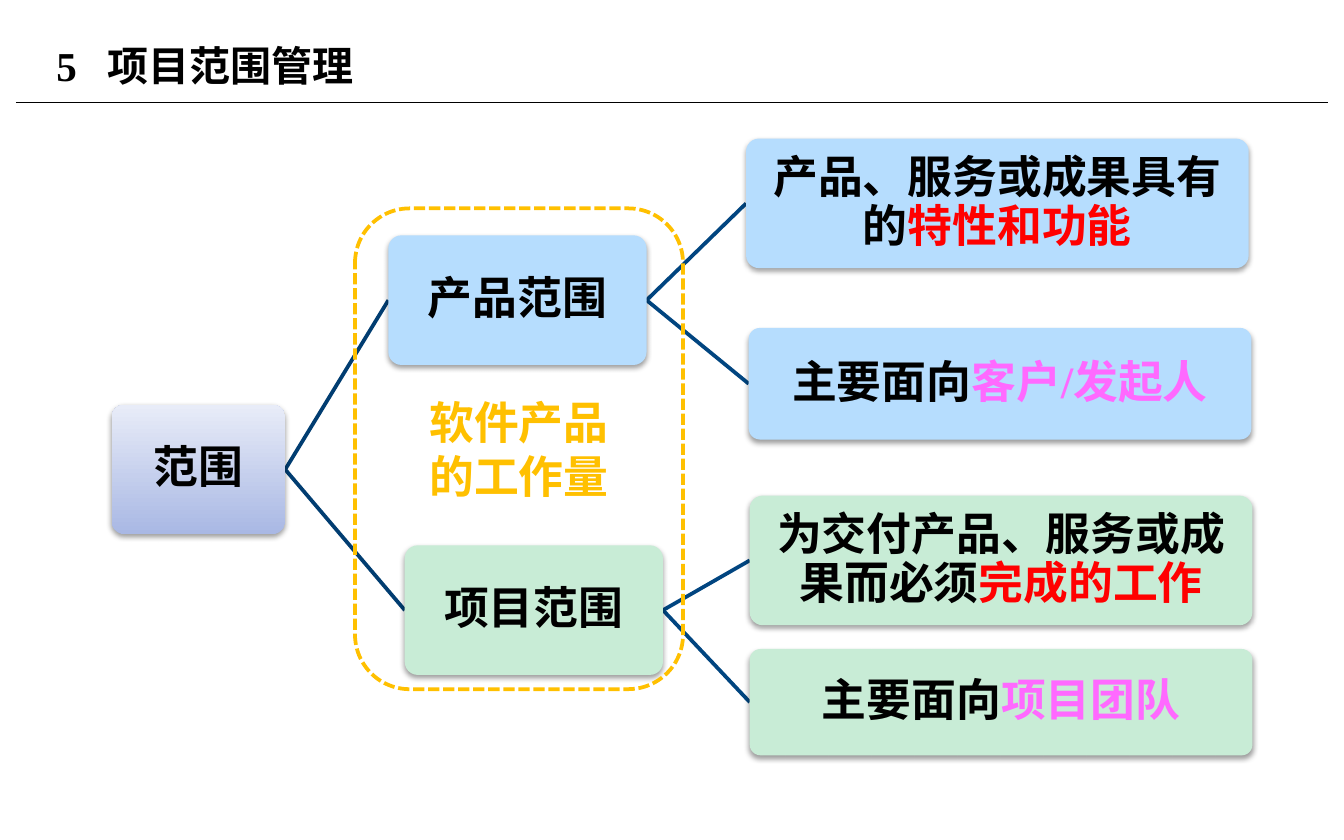
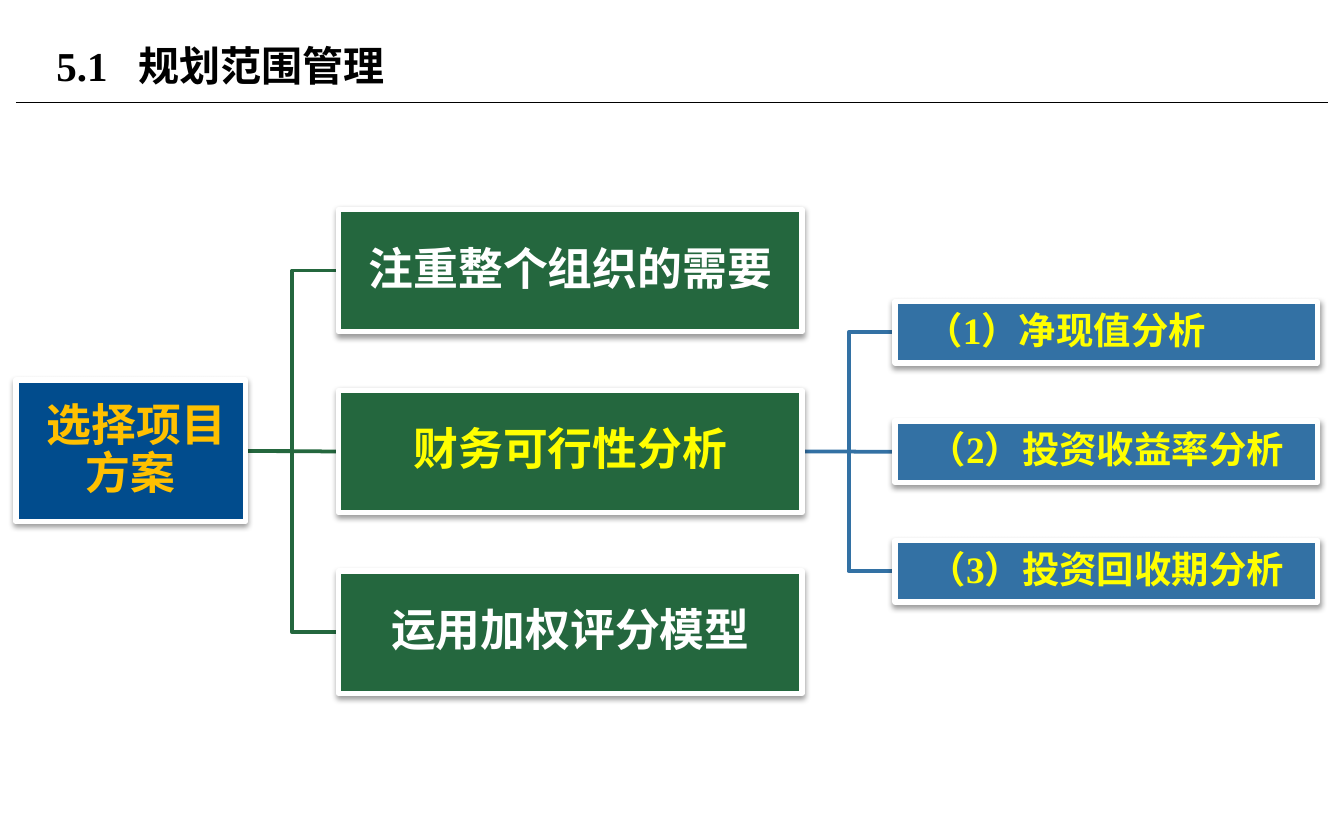
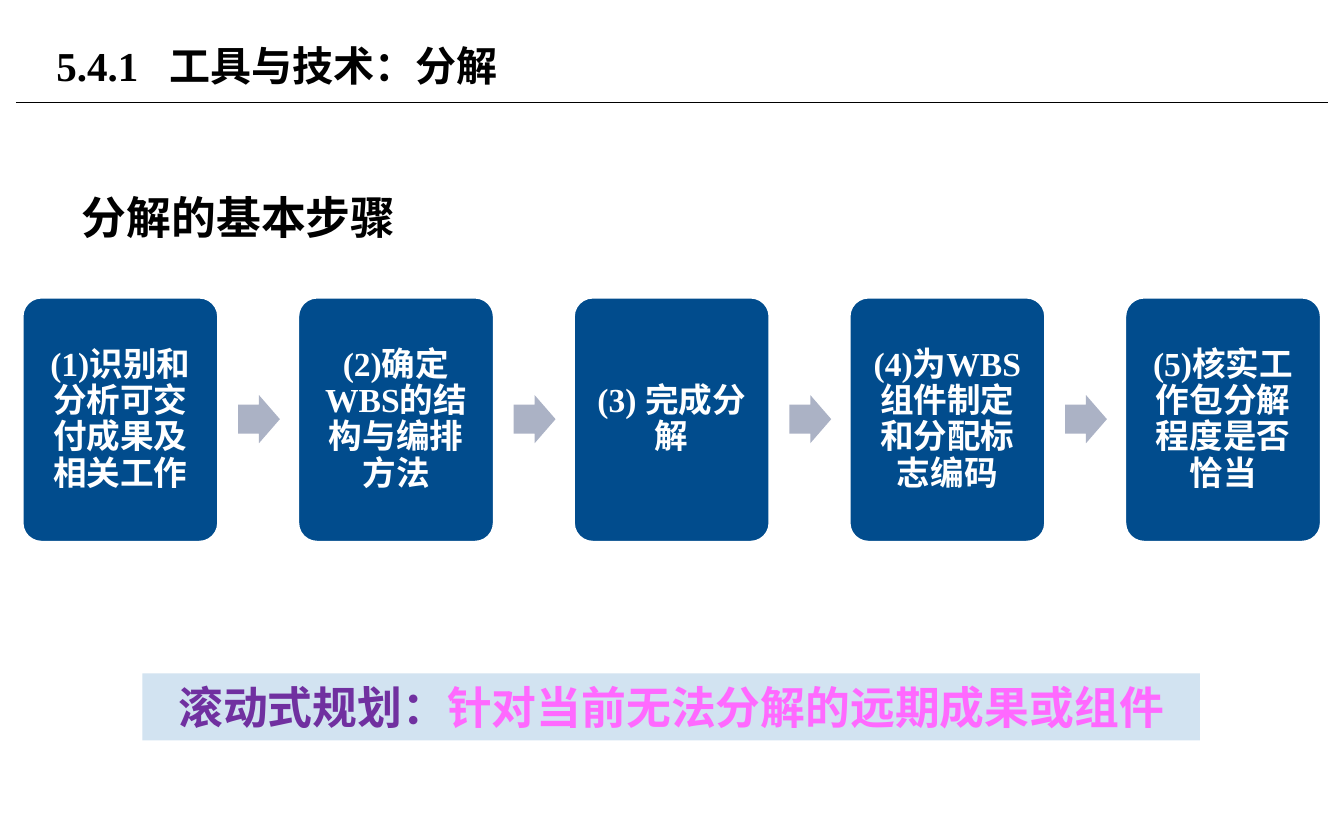
from lxml import etree
from pptx import Presentation
from pptx.dml.color import RGBColor
from pptx.enum import dml, shapes, text
from pptx.oxml import parse_xml
from pptx.oxml.ns import nsdecls, qn
from pptx.util import Cm, Pt

FONT = "Times New Roman"
BLACK = RGBColor(0x00, 0x00, 0x00)
WHITE = RGBColor(0xFF, 0xFF, 0xFF)
RED = RGBColor(0xFF, 0x00, 0x00)
PINK = RGBColor(0xFF, 0x69, 0xFF)
ORANGE = RGBColor(0xFF, 0xC0, 0x00)
YELLOW = RGBColor(0xFF, 0xFF, 0x00)
PURPLE = RGBColor(0x70, 0x30, 0xA0)
NAVY = RGBColor(0x01, 0x4C, 0x8D)
LINK_DARK = RGBColor(0x01, 0x3D, 0x71)
LINK_NAVY = RGBColor(0x01, 0x45, 0x80)
SKY = RGBColor(0xB6, 0xDD, 0xFE)
MINT = RGBColor(0xC8, 0xEC, 0xD6)
LILAC_DARK = RGBColor(0xA9, 0xB8, 0xE4)
LILAC_LIGHT = RGBColor(0xE8, 0xEC, 0xF8)
GREEN = RGBColor(0x24, 0x67, 0x3E)
BLUE = RGBColor(0x33, 0x71, 0xA4)
ARROW_GREY = RGBColor(0xAB, 0xB2, 0xC5)
PALE_BLUE = RGBColor(0xD2, 0xE3, 0xF1)

RECT = shapes.MSO_SHAPE.RECTANGLE
ROUND = shapes.MSO_SHAPE.ROUNDED_RECTANGLE
ARROW = shapes.MSO_SHAPE.RIGHT_ARROW
STRAIGHT = shapes.MSO_CONNECTOR.STRAIGHT
ELBOW = shapes.MSO_CONNECTOR.ELBOW
LEFT, CENTER = text.PP_ALIGN.LEFT, text.PP_ALIGN.CENTER
MIDDLE = text.MSO_ANCHOR.MIDDLE

SHADOW = (f'<a:effectLst {nsdecls("a")}><a:outerShdw blurRad="39370" dist="20320" dir="5400000" '
          'rotWithShape="0"><a:srgbClr val="000000"><a:alpha val="38000"/></a:srgbClr>'
          '</a:outerShdw></a:effectLst>')


def write(p, *runs, size=24, align=CENTER, spacing=None, indent=0):
    """Fill a paragraph with (text, colour) runs."""
    p.alignment = align
    if spacing:
        p.line_spacing = spacing
    if indent:
        p._p.get_or_add_pPr().set("indent", str(Cm(indent)))
    for words, color in runs:
        r = p.add_run()
        r.text = words
        r.font.name, r.font.size, r.font.bold = FONT, Pt(size), True
        r.font.color.rgb = color


def box(s, kind, x, y, w, h, fill=None, line=None, width=2, adj=(), shadow=False, margin=0.12):
    """Add a preset shape with its outline, shadow and text margins."""
    sp = s.shapes.add_shape(kind, Cm(x), Cm(y), Cm(w), Cm(h))
    for i, value in enumerate(adj):
        sp.adjustments[i] = value
    if fill is None:
        sp.fill.background()
    else:
        sp.fill.solid()
        sp.fill.fore_color.rgb = fill
    if line is None:
        sp.line.fill.background()
    else:
        sp.line.color.rgb = line
        sp.line.width = Pt(width)
    sp.shadow.inherit = False
    if shadow:
        pr = sp._element.spPr
        pr.replace(pr.find(qn("a:effectLst")), parse_xml(SHADOW))
    tf = sp.text_frame
    tf.word_wrap, tf.vertical_anchor = True, MIDDLE
    tf.margin_left = tf.margin_right = tf.margin_top = tf.margin_bottom = Cm(margin)
    return sp


prs = Presentation()
prs.slide_width, prs.slide_height = Cm(25.4), Cm(15.88)

# Slides with their title and the rule below it
titles = [("5", "项目范围管理"), ("5.1", "规划范围管理"), ("5.4.1", "工具与技术：分解")]
slides = []
for i, (number, name) in enumerate(titles):
    s = prs.slides.add_slide(prs.slide_layouts[5])
    sp = s.shapes.title
    sp.left, sp.top, sp.width, sp.height = Cm(0.81), Cm(0.33), Cm(16.2), Cm(1.8)
    tf = sp.text_frame
    tf.vertical_anchor, tf.auto_size = MIDDLE, text.MSO_AUTO_SIZE.NONE
    p = tf.paragraphs[0]
    tabs = etree.SubElement(p._p.get_or_add_pPr(), qn("a:tabLst"))
    etree.SubElement(tabs, qn("a:tab"), pos=str(Cm(0.96 + 0.59 * i)), algn="l")
    write(p, (f"{number}\t{name}", BLACK), size=22, align=LEFT)
    rule = s.shapes.add_connector(STRAIGHT, Cm(0.3), Cm(1.94), Cm(25.1), Cm(1.94))
    rule.line.color.rgb, rule.line.width = BLACK, Pt(0.75)
    etree.SubElement(rule._element.spPr, qn("a:effectLst"))
    slides.append(s)
scope, planning, steps = slides
links = []  # slide, parent, child, connector kind, colour

# Scope tree: parent, left, top, width, height, fill, runs
nodes = [
    (None, 2.11, 7.65, 3.28, 2.45, LILAC_DARK, [("范围", BLACK)]),
    (0, 7.34, 4.45, 4.88, 2.45, SKY, [("产品范围", BLACK)]),
    (0, 7.65, 10.31, 4.88, 2.45, MINT, [("项目范围", BLACK)]),
    (1, 14.1, 2.62, 9.5, 2.45, SKY, [("产品、服务或成果具有的", BLACK), ("特性和功能", RED)]),
    (1, 14.15, 6.2, 9.5, 2.11, SKY, [("主要面向", BLACK), ("客户/发起人", PINK)]),
    (2, 14.17, 9.37, 9.5, 2.45, MINT, [("为交付产品、服务或成果而必须", BLACK), ("完成的工作", RED)]),
    (2, 14.17, 12.27, 9.5, 2.01, MINT, [("主要面向", BLACK), ("项目团队", PINK)]),
]
tree = []
for parent, x, y, w, h, fill, runs in nodes:
    sp = box(scope, ROUND, x, y, w, h, fill, adj=[0.1], shadow=True)
    write(sp.text_frame.paragraphs[0], *runs, spacing=0.9)
    tree.append(sp)
    if parent is not None:
        links.append((scope, tree[parent], sp, STRAIGHT, LINK_NAVY if parent else LINK_DARK))
root_fill = tree[0].fill
root_fill.gradient()
root_fill.gradient_angle = 90
for stop, color in zip(root_fill.gradient_stops, (LILAC_DARK, LILAC_LIGHT)):
    stop.color.rgb = color

# Dashed frame around the two kinds of scope
sp = box(scope, ROUND, 6.71, 3.94, 6.2, 9.09, line=ORANGE)
sp.line.dash_style = dml.MSO_LINE.SQUARE_DOT
write(sp.text_frame.paragraphs[0], ("软件产品", ORANGE))
write(sp.text_frame.add_paragraph(), ("的工作量", ORANGE))

# Project selection: root, methods, financial analyses
frame = dict(line=WHITE, width=3, shadow=True, margin=0.04)
root = box(planning, RECT, 0.3, 7.19, 4.34, 2.67, NAVY, **frame)
write(root.text_frame.paragraphs[0], ("选择项目方案", ORANGE), spacing=0.9, indent=0.21)
methods = []
for i, (name, color) in enumerate([("注重整个组织的需要", WHITE), ("财务可行性分析", YELLOW),
                                   ("运用加权评分模型", WHITE)]):
    sp = box(planning, RECT, 6.4, 3.96 + 3.42 * i, 8.76, 2.31, GREEN, **frame)
    write(sp.text_frame.paragraphs[0], (name, color), spacing=0.9)
    methods.append(sp)
    links.append((planning, root, sp, STRAIGHT if i == 1 else ELBOW, GREEN))
for i, (name, align, indent) in enumerate([("（1）净现值分析", LEFT, 0.53),
                                           ("（2）投资收益率分析", CENTER, 0),
                                           ("（3）投资回收期分析", CENTER, 0)]):
    sp = box(planning, RECT, 16.92, 5.7 + 2.26 * i, 7.98, 1.16, BLUE, **frame)
    write(sp.text_frame.paragraphs[0], (name, YELLOW), size=20, align=align,
          spacing=0.9, indent=indent)
    links.append((planning, methods[1], sp, STRAIGHT if i == 1 else ELBOW, BLUE))

# Connectors of both trees, behind their boxes
for s, parent, child, kind, color in links:
    link = s.shapes.add_connector(kind, 0, 0, 0, 0)
    link.begin_connect(parent, 3)
    link.end_connect(child, 1)
    link.line.color.rgb, link.line.width = color, Pt(2)
    etree.SubElement(link._element.spPr, qn("a:effectLst"))
    s.shapes.element.insert(2, link._element)

# Decomposition steps: heading, boxes and arrows
tf = steps.shapes.add_textbox(Cm(1.3), Cm(2.95), Cm(22.8), Cm(2)).text_frame
tf.word_wrap = True
write(tf.paragraphs[0], ("分解的基本步骤", BLACK), align=LEFT, spacing=1.5)
names = ["(1)识别和分析可交付成果及相关工作", "(2)确定WBS的结构与编排方法", "(3) 完成分解",
         "(4)为WBS组件制定和分配标志编码", "(5)核实工作包分解程度是否恰当"]
for i, name in enumerate(names):
    x = 0.41 + 5.21 * i
    sp = box(steps, ROUND, x, 5.61, 3.73, 4.65, NAVY, line=WHITE, adj=[0.1], margin=0.28)
    write(sp.text_frame.paragraphs[0], (name, WHITE), size=18, spacing=0.9)
    if i < len(names) - 1:
        box(steps, ARROW, x + 4.09, 7.47, 0.79, 0.91, ARROW_GREY, adj=[0.6, 0.5])

# Closing band
sp = box(steps, RECT, 2.69, 12.73, 19.99, 1.27, PALE_BLUE)
write(sp.text_frame.paragraphs[0], ("滚动式规划：", PURPLE), ("针对当前无法分解的远期成果或组件", PINK))

prs.save("out.pptx")
